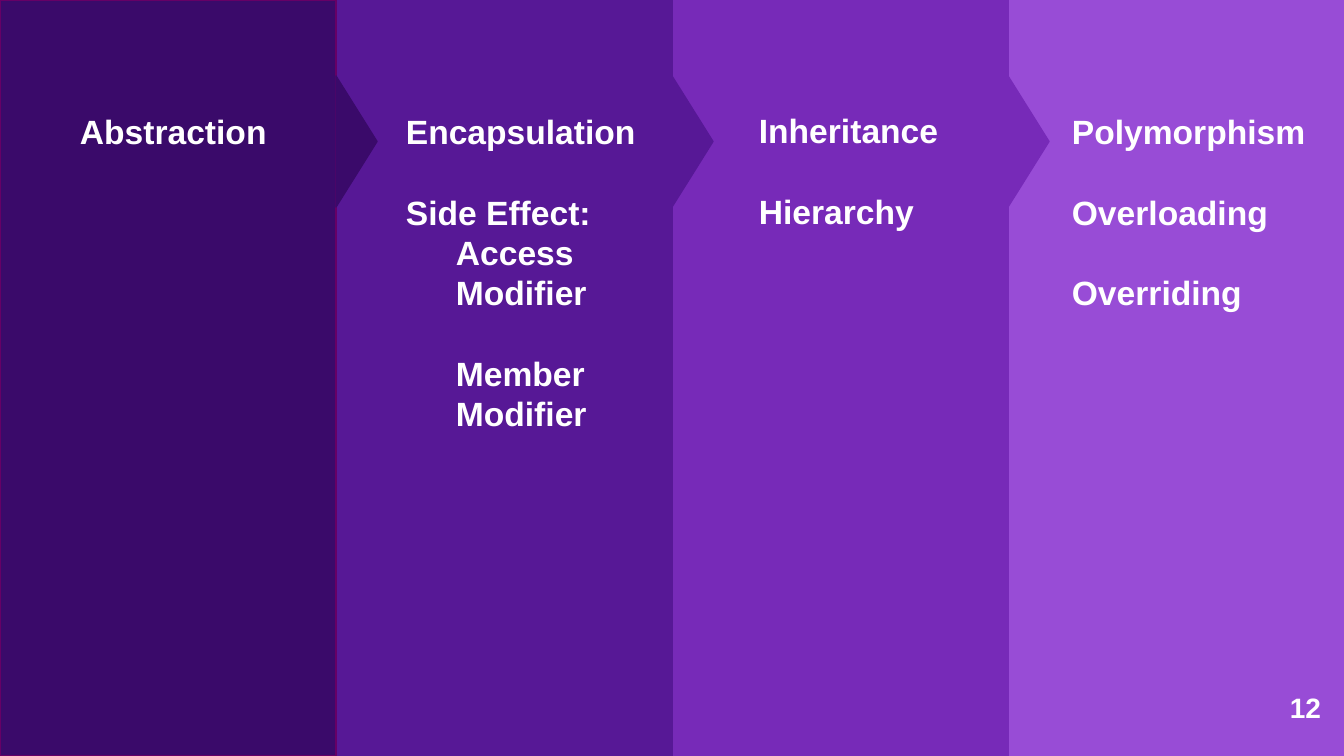
from pptx import Presentation
from pptx.dml.color import RGBColor
from pptx.enum.shapes import MSO_SHAPE
from pptx.enum.text import MSO_ANCHOR
from pptx.util import Pt

RECTANGLE = MSO_SHAPE.RECTANGLE
TRIANGLE = MSO_SHAPE.ISOSCELES_TRIANGLE
TOP = MSO_ANCHOR.TOP

SLIDE_WIDTH, SLIDE_HEIGHT = 1344, 756
EMU_PER_PX = 914400 / 100.8
FONT = "Arial"
LINE_FACTOR = 1.2
INDENT = 50
ARROW_WIDTH, ARROW_HEIGHT, ARROW_MIDDLE = 131, 41, 141

COLORS = {
    "background": "7711FF",
    "abstraction": "3A0A6A",
    "abstraction_line": "660066",
    "encapsulation": "571896",
    "inheritance": "772AB8",
    "polymorphism": "984CD6",
    "text": "FFFFFF",
}

# (text, gap before, indented)
COLUMNS = [
    ("abstraction", "abstraction_line", (70, 106, 219, 50),
     [("Abstraction", False, False)]),
    ("encapsulation", "encapsulation", (60, 106, 262, 336),
     [("Encapsulation", False, False), ("Side Effect:", True, False),
      ("Access", False, True), ("Modifier", False, True),
      ("Member", True, True), ("Modifier", False, True)]),
    ("inheritance", "inheritance", (77, 105, 210, 132),
     [("Inheritance", False, False), ("Hierarchy", True, False)]),
    ("polymorphism", "polymorphism", (54, 106, 282, 214),
     [("Polymorphism", False, False), ("Overloading", True, False),
      ("Overriding", True, False)]),
]


def px(length):
    return round(length * EMU_PER_PX)


def color(name):
    return RGBColor.from_string(COLORS[name])


def add_filled(shapes, kind, box, fill, line):
    shape = shapes.add_shape(kind, *map(px, box))
    shape.shadow.inherit = False
    shape.fill.solid()
    shape.fill.fore_color.rgb = color(fill)
    shape.line.color.rgb = color(line)
    shape.line.width = Pt(1)
    return shape


def add_text(shapes, box, lines, size):
    frame = shapes.add_textbox(*map(px, box)).text_frame
    frame.word_wrap = True
    frame.vertical_anchor = TOP
    for index, (text, gap_before, indented) in enumerate(lines):
        paragraph = frame.add_paragraph() if index else frame.paragraphs[0]
        paragraph.line_spacing = Pt(size * LINE_FACTOR)
        if gap_before:
            paragraph.space_before = Pt(size * LINE_FACTOR)
        if indented:
            paragraph._p.get_or_add_pPr().set("marL", str(px(INDENT)))
        run = paragraph.add_run()
        run.text = text
        run.font.name = FONT
        run.font.size = Pt(size)
        run.font.bold = True
        run.font.color.rgb = color("text")


def add_column(slide, box, fill, line, text_box, lines, has_arrow):
    left, top, width, height = box
    shapes = slide.shapes.add_group_shape().shapes
    add_filled(shapes, RECTANGLE, box, fill, line)
    if has_arrow:
        arrow_box = (left + width + (ARROW_HEIGHT - ARROW_WIDTH) // 2,
                     top + ARROW_MIDDLE - ARROW_HEIGHT // 2,
                     ARROW_WIDTH, ARROW_HEIGHT)
        arrow = add_filled(shapes, TRIANGLE, arrow_box, fill, fill)
        arrow.rotation = 90
    text_left, text_top, text_width, text_height = text_box
    add_text(shapes, (left + text_left, top + text_top, text_width, text_height),
             lines, 24)


def add_slide_number(slide, box):
    add_text(slide.shapes, box, [("12", False, False)], 20)


def main():
    presentation = Presentation()
    presentation.slide_width = px(SLIDE_WIDTH)
    presentation.slide_height = px(SLIDE_HEIGHT)
    slide = presentation.slides.add_slide(presentation.slide_layouts[6])
    slide.background.fill.solid()
    slide.background.fill.fore_color.rgb = color("background")

    column_width = SLIDE_WIDTH // len(COLUMNS)
    last = len(COLUMNS) - 1
    for index, column in reversed(list(enumerate(COLUMNS))):
        box = (index * column_width, 0, column_width, SLIDE_HEIGHT)
        add_column(slide, box, *column, has_arrow=index < last)
    add_slide_number(slide, (1280, 686, 56, 44))
    presentation.save("out.pptx")


if __name__ == "__main__":
    main()
